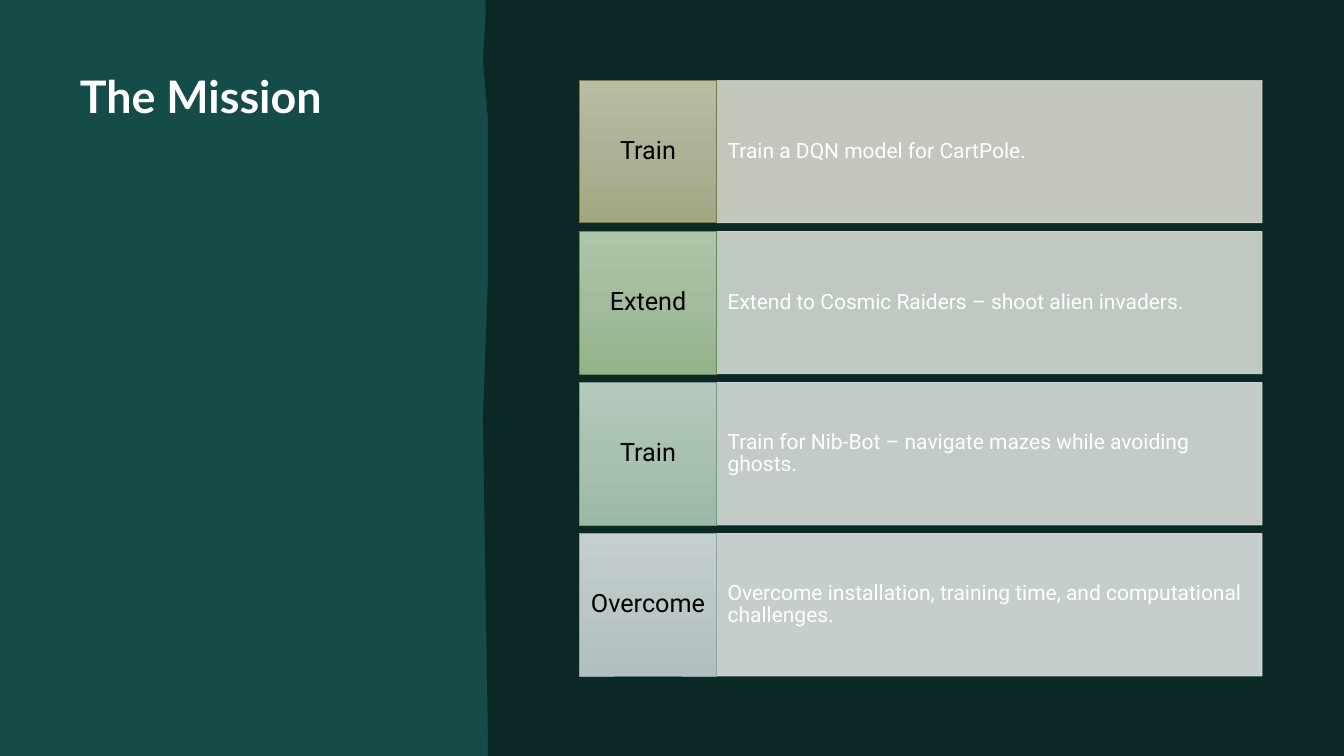
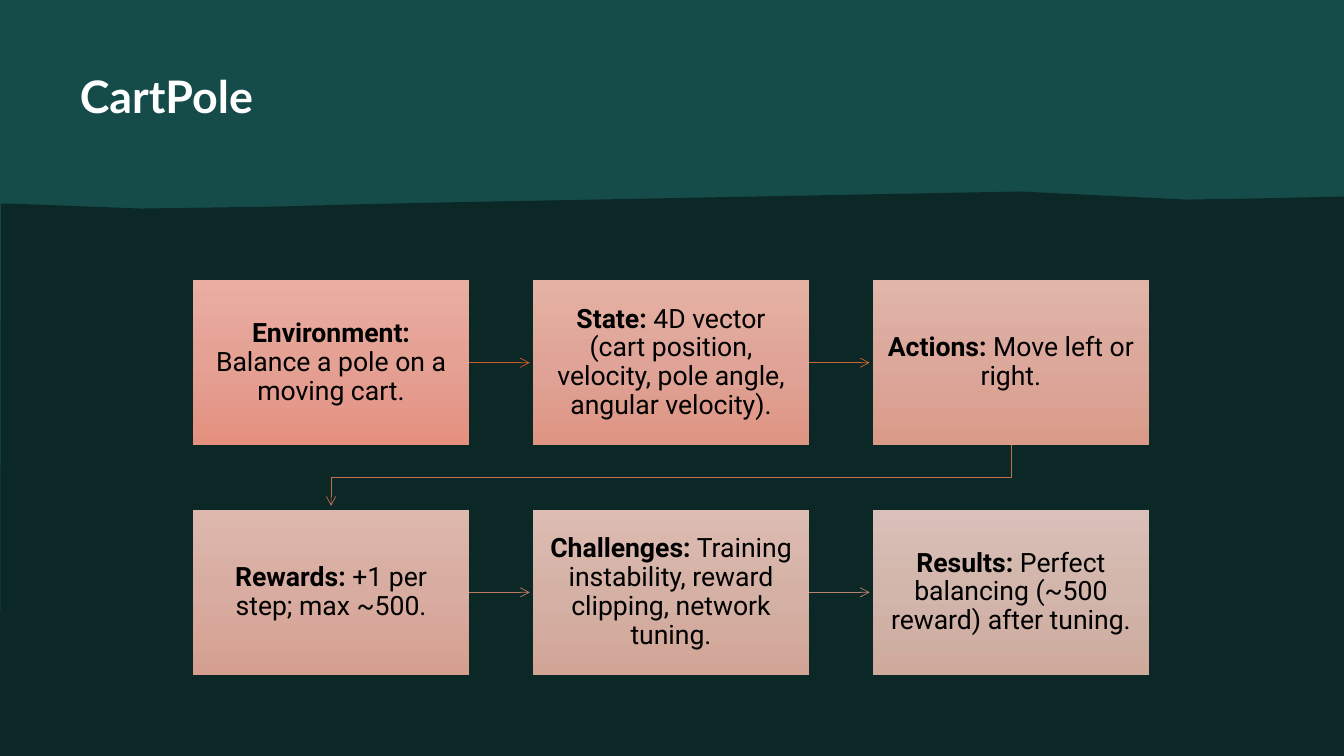
import copy

from lxml import etree
from pptx import Presentation
from pptx.dml import color
from pptx.enum import shapes, text
from pptx.oxml import ns
from pptx.util import Pt

WIDTH, HEIGHT = 960, 540
TEAL, DARK, WHITE, BLACK = "154C4A", "0B2827", "FFFFFF", "000000"
HEAD_FONT, BODY_FONT = "Lato", "Roboto"
MARGIN, TITLE_TOP = 57, 49

SIDE_EDGE = [(347, 0), (WIDTH, 0), (WIDTH, HEIGHT), (348.5, HEIGHT), (348.5, 525),
             (345, 300), (348.5, 202), (348.5, 85), (345, 43), (347, 8)]
TOP_EDGE = [(728.6, 136.8), (847.4, 142.6), (895, 141.8), (WIDTH, 140.4),
            (WIDTH, HEIGHT), (0, HEIGHT), (0.7, 145.4), (5.8, 145.4),
            (100.8, 149), (196, 147.6), (255, 146), (314, 144.7)]

MISSION = [
    ("Train", "Train a DQN model for CartPole.",
     ("B9BDA2", "ADB196", "A2A782"), "767E37", "D6D8CE"),
    ("Extend", "Extend to Cosmic Raiders – shoot alien invaders.",
     ("AEC6A8", "A2BC9C", "93B38A"), "5F904F", "D4DAD3"),
    ("Train", "Train for Nib-Bot – navigate mazes while avoiding ghosts.",
     ("B5CABC", "A9C1B1", "9BBAA5"), "6C9C7E", "D7DDD9"),
    ("Overcome", "Overcome installation, training time, and computational challenges.",
     ("C6CFCF", "BBC6C6", "B1BFBF"), "8FA3A3", "DBE0E0"),
]

STEPS = [
    ("Environment:", " Balance a pole on a moving cart.",
     ("E9AEA1", "E4A194", "E5907F")),
    ("State:", " 4D vector (cart position, velocity, pole angle, angular velocity).",
     ("E5B1A5", "DFA497", "DF9583")),
    ("Actions:", " Move left or right.", ("E1B5A9", "DBA89B", "DA9A88")),
    ("Rewards:", " +1 per step; max ~500.", ("DEB8AD", "D8ACA0", "D59F8F")),
    ("Challenges:", " Training instability, reward clipping, network tuning.",
     ("DCBCB3", "D5B1A5", "D1A496")),
    ("Results:", " Perfect balancing (~500 reward) after tuning.",
     ("D9C0B8", "D2B5AB", "CEAA9D")),
]
ARROWS = ["D15A29", "CC643A", "C46F4D", "BE7A5F", "B88470"]


def rgb(value):
    return color.RGBColor.from_string(value)


def style_font(font, name, size, value):
    font.name, font.size, font.color.rgb = name, Pt(size), rgb(value)


def set_insets(tf, x, y):
    tf.margin_left = tf.margin_right = Pt(x)
    tf.margin_top = tf.margin_bottom = Pt(y)
    tf.word_wrap = True


def fill_gradient(sp, stops):
    sp.fill.gradient()
    sp.fill.gradient_angle = 270
    first = sp._element.spPr.find(".//" + ns.qn("a:gs"))
    first.addnext(copy.deepcopy(first))
    for i, (stop, value) in enumerate(zip(sp.fill.gradient_stops, stops)):
        stop.position = i / 2
        stop.color.rgb = rgb(value)


def set_opacity(sp, percent):
    for clr in sp._element.spPr.iter(ns.qn("a:srgbClr")):
        etree.SubElement(clr, ns.qn("a:alpha"), val=str(percent * 1000))


def set_line(sp, value):
    sp.line.color.rgb = rgb(value)
    sp.line.width = Pt(0.5)


def add_arrowhead(sp):
    etree.SubElement(sp.line._get_or_add_ln(), ns.qn("a:tailEnd"), type="arrow")


def add_outline(slide, points, close=True):
    start, *rest = [(Pt(x), Pt(y)) for x, y in points]
    builder = slide.shapes.build_freeform(*start)
    builder.add_line_segments(rest, close=close)
    sp = builder.convert_to_shape()
    sp.shadow.inherit = False
    return sp


def add_card(slide, box, runs, size, value, insets, align):
    sp = slide.shapes.add_shape(shapes.MSO_SHAPE.RECTANGLE, *map(Pt, box))
    sp.shadow.inherit = False
    sp.line.fill.background()
    tf = sp.text_frame
    set_insets(tf, *insets)
    tf.vertical_anchor = text.MSO_ANCHOR.MIDDLE
    p = tf.paragraphs[0]
    p.alignment = align
    p.line_spacing = 0.9
    style_font(p.font, BODY_FONT, size, value)
    for content, bold in runs:
        r = p.add_run()
        r.text = content
        r.font.bold = bold
    return sp


def add_base(prs, title, title_size, edge):
    slide = prs.slides.add_slide(prs.slide_layouts[6])
    field = add_outline(slide, edge)
    field.fill.solid()
    field.fill.fore_color.rgb = rgb(DARK)
    field.line.fill.background()
    sp = slide.shapes.add_textbox(Pt(MARGIN), Pt(TITLE_TOP), *map(Pt, title_size))
    set_insets(sp.text_frame, 0, 0)
    p = sp.text_frame.paragraphs[0]
    p.text = title
    style_font(p.font, HEAD_FONT, 32, WHITE)
    p.font.bold = True
    return slide


def add_mission_row(slide, box, row):
    left, top, width, height = box
    label, detail, stops, border, panel_fill = row
    label_width = 97.8
    panel = add_card(slide, (left + label_width, top, width - label_width, height),
                     [(detail, False)], 15, WHITE, (8, 26), text.PP_ALIGN.LEFT)
    panel.fill.solid()
    panel.fill.fore_color.rgb = rgb(panel_fill)
    set_line(panel, panel_fill)
    set_opacity(panel, 90)
    tag = add_card(slide, (left, top, label_width, height),
                   [(label, False)], 18, BLACK, (5, 10), text.PP_ALIGN.CENTER)
    fill_gradient(tag, stops)
    set_line(tag, border)


def add_step_arrow(slide, card, length, value):
    x, y = card.left + card.width, card.top + card.height // 2
    line = slide.shapes.add_connector(shapes.MSO_CONNECTOR.STRAIGHT,
                                      x, y, x + Pt(length), y)
    line.begin_connect(card, 3)
    etree.SubElement(line._element.spPr, ns.qn("a:effectLst"))
    set_line(line, value)
    add_arrowhead(line)


def add_return_arrow(slide, start, end, drop, value):
    (x1, y1), (x2, y2) = start, end
    line = add_outline(slide, [start, (x1, y1 + drop), (x2, y1 + drop), end], False)
    line.fill.background()
    set_line(line, value)
    add_arrowhead(line)


def add_step_grid(slide, box, columns=3):
    left, top, width, height = box
    card_w, card_h, arrow = 197.4, 118.2, 43.2
    step_x = (width - card_w) / (columns - 1)
    step_y = height - card_h
    for i, (head, detail, stops) in enumerate(STEPS):
        row, col = divmod(i, columns)
        x, y = left + col * step_x, top + row * step_y
        card = add_card(slide, (x, y, card_w, card_h),
                        [(head, True), (detail, False)], 19, BLACK, (9.5, 10),
                        text.PP_ALIGN.CENTER)
        fill_gradient(card, stops)
        if i == len(STEPS) - 1:
            continue
        if col < columns - 1:
            add_step_arrow(slide, card, arrow, ARROWS[i])
        else:
            add_return_arrow(slide, (x + card_w / 2, y + card_h),
                             (left + card_w / 2, y + card_h + arrow), 22.8, ARROWS[i])


def mission_slide(prs):
    slide = add_base(prs, "The Mission", (245, 434), SIDE_EDGE)
    for i, row in enumerate(MISSION):
        add_mission_row(slide, (414, 57.4 + i * 107.9, 487.5, 101.8), row)


def cartpole_slide(prs):
    slide = add_base(prs, "CartPole", (844.5, 54), TOP_EDGE)
    add_step_grid(slide, (137.8, 200, 683, 282.2))


def main():
    prs = Presentation()
    prs.slide_width, prs.slide_height = Pt(WIDTH), Pt(HEIGHT)
    backdrop = prs.slide_master.background.fill
    backdrop.solid()
    backdrop.fore_color.rgb = rgb(TEAL)
    mission_slide(prs)
    cartpole_slide(prs)
    prs.save("out.pptx")


if __name__ == "__main__":
    main()
